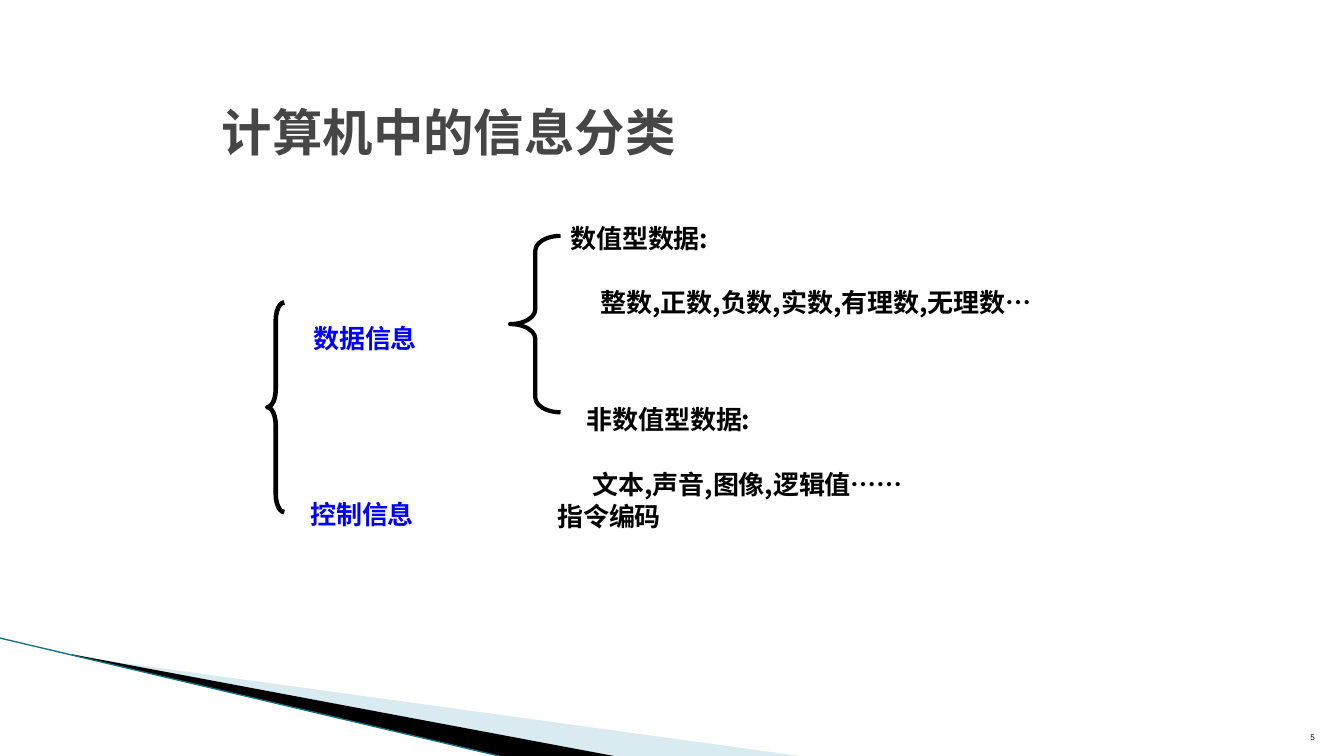
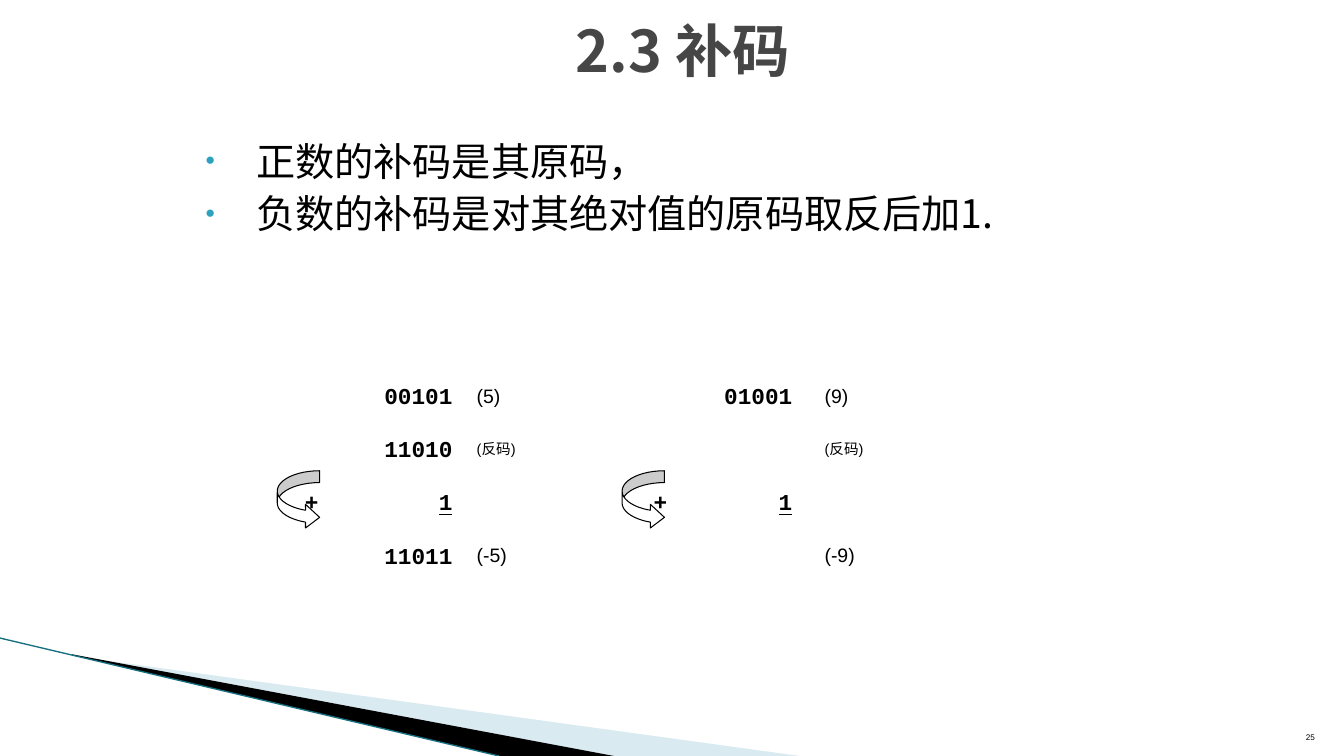
from dataclasses import dataclass
from typing import Optional

from lxml.etree import SubElement
from pptx import Presentation
from pptx.dml.color import RGBColor
from pptx.enum.shapes import MSO_CONNECTOR, MSO_SHAPE
from pptx.enum.text import MSO_ANCHOR, PP_ALIGN
from pptx.oxml.ns import qn
from pptx.util import Inches, Pt

BLACK, WHITE, BLUE = "000000", "FFFFFF", "0000FF"
TITLE_GRAY, BULLET_TEAL = "464646", "2DA2BF"
BAND_BLUE, EDGE_TEAL = "A0CBDC", "17707F"
CJK, CJK_TITLE = "Noto Sans CJK SC", "Noto Sans CJK JP"
MONO, SANS = "Courier New", "Arial"
LOWERED = -25  # percent of the text size


@dataclass(frozen=True)
class Style:
    size: float
    font: str
    color: str = BLACK
    bold: bool = False
    underline: bool = False
    baseline: int = 0
    east_asian: str = CJK


@dataclass(frozen=True)
class Label:
    left: float
    top: float
    width: float
    lines: tuple[str, ...]
    color: str = BLACK
    second_indent: float = 0


@dataclass(frozen=True)
class Preset:
    kind: MSO_SHAPE
    box: tuple[float, float, float, float]
    adjustments: tuple[float, ...]
    line_width: float
    fill: Optional[str] = None


@dataclass(frozen=True)
class Band:
    points: tuple[tuple[float, float], ...]
    color: str
    opacity: Optional[int] = None


@dataclass(frozen=True)
class Column:
    position: float
    align: str


BANDS = (
    Band(((0.73, 6.51), (7.93, 7.5), (6.08, 7.5), (0.73, 6.5)), BAND_BLUE, 40),
    Band(((0.71, 6.49), (6.09, 7.5), (4.96, 7.5), (0.72, 6.5)), BLACK),
)

TERM_LINE, TERM_GAP = 30, 16
CATEGORIES = (
    Label(5.56, 2.05, 5.75, ("数值型数据:", "整数,正数,负数,实数,有理数,无理数…"), second_indent=0.3),
    Label(3.01, 3.04, 2, ("数据信息",), BLUE),
    Label(2.98, 4.79, 2.67, ("控制信息",), BLUE),
    Label(5.72, 3.85, 5.51, ("非数值型数据:", "文本,声音,图像,逻辑值……"), second_indent=0.06),
    Label(5.43, 4.81, 3.75, ("指令编码",)),
)
BRACES = (
    Preset(MSO_SHAPE.LEFT_BRACE, (5.06, 2.34, 0.5, 1.75), (0.292, 0.5), 3),
    Preset(MSO_SHAPE.LEFT_BRACE, (2.65, 3, 0.17, 2.08), (1.042, 0.5), 3.25),
)

RULES = ("正数的补码是其原码，", "负数的补码是对其绝对值的原码取反后加1.")
DIGITS = Style(28, MONO, bold=True, baseline=LOWERED)
SUM_DIGIT = Style(28, MONO, bold=True, underline=True, baseline=LOWERED)
VALUE = Style(24, SANS, baseline=LOWERED)
REMARK = Style(18, SANS, baseline=LOWERED)
COLUMNS = (
    Column(0.6, "r"), Column(1.93, "r"), Column(2.17, "l"),
    Column(4.06, "r"), Column(5.3, "r"), Column(5.62, "l"),
)
CALCULATION = (
    (("", DIGITS), ("00101", DIGITS), ("(5)", VALUE),
     ("", DIGITS), ("01001", DIGITS), ("(9)", VALUE)),
    (("", DIGITS), ("11010", DIGITS), ("(反码)", REMARK),
     ("", DIGITS), ("", DIGITS), ("(反码)", REMARK)),
    (("+", DIGITS), ("1", SUM_DIGIT), ("", VALUE), ("+", DIGITS), ("1", SUM_DIGIT)),
    (("", DIGITS), ("11011", DIGITS), ("(-5)", VALUE),
     ("", DIGITS), ("", DIGITS), ("(-9)", VALUE)),
)
CARRY_ARROWS = tuple(
    Preset(MSO_SHAPE.CURVED_RIGHT_ARROW, (left, 4.67, 0.42, 0.58), (0.28, 0.56, 0.333), 0.75, WHITE)
    for left in (2.75, 6.17)
)


def rgb(value: str) -> RGBColor:
    return RGBColor.from_string(value)


def place(shape, left: float, top: float, width: float, height: float) -> None:
    shape.left, shape.top = Inches(left), Inches(top)
    shape.width, shape.height = Inches(width), Inches(height)


def add_run(paragraph, text: str, style: Style) -> None:
    run = paragraph.add_run()
    run.text = text
    run.font.size = Pt(style.size)
    run.font.bold = style.bold
    run.font.underline = style.underline
    run.font.color.rgb = rgb(style.color)
    run.font.name = style.font
    properties = run._r.get_or_add_rPr()
    if style.baseline:
        properties.set("baseline", str(style.baseline * 1000))
    SubElement(properties, qn("a:ea")).set("typeface", style.east_asian)


def add_paragraph(frame, index: int, line_spacing: Optional[float] = None, gap: float = 0):
    paragraph = frame.add_paragraph() if index else frame.paragraphs[0]
    if line_spacing:
        paragraph.line_spacing = Pt(line_spacing)
    paragraph.space_before = Pt(gap if index else 0)
    return paragraph


def add_text_frame(slide, left: float, top: float, width: float, height: float):
    frame = slide.shapes.add_textbox(
        Inches(left), Inches(top), Inches(width), Inches(height)).text_frame
    frame.word_wrap = True
    return frame


def add_backdrop(slide) -> None:
    for band in BANDS:
        start, *rest = [(Inches(x), Inches(y)) for x, y in band.points]
        builder = slide.shapes.build_freeform(*start)
        builder.add_line_segments(rest, close=True)
        wedge = builder.convert_to_shape()
        wedge.shadow.inherit = False
        wedge.fill.solid()
        wedge.fill.fore_color.rgb = rgb(band.color)
        wedge.line.fill.background()
        if band.opacity:
            color = wedge._element.spPr.find(qn("a:solidFill")).find(qn("a:srgbClr"))
            SubElement(color, qn("a:alpha")).set("val", str(band.opacity * 1000))
    edge = slide.shapes.add_connector(
        MSO_CONNECTOR.STRAIGHT, Inches(0), Inches(6.33), Inches(4.95), Inches(7.5))
    edge.line.color.rgb = rgb(EDGE_TEAL)
    edge.line.width = Pt(0.95)
    SubElement(edge._element.spPr, qn("a:effectLst"))


def add_page_number(slide, number: str) -> None:
    frame = add_text_frame(slide, 12.61, 7.01, 0.53, 0.4)
    frame.vertical_anchor = MSO_ANCHOR.BOTTOM
    paragraph = frame.paragraphs[0]
    paragraph.alignment = PP_ALIGN.RIGHT
    add_run(paragraph, number, Style(10, SANS, baseline=LOWERED))


def set_title(slide, text: str, box: tuple[float, float, float, float],
              style: Style, align: PP_ALIGN) -> None:
    title = slide.shapes.title
    place(title, *box)
    title.text_frame.vertical_anchor = MSO_ANCHOR.MIDDLE
    paragraph = title.text_frame.paragraphs[0]
    paragraph.alignment = align
    add_run(paragraph, text, style)


def add_preset(slide, preset: Preset) -> None:
    shape = slide.shapes.add_shape(preset.kind, *map(Inches, preset.box))
    shape.shadow.inherit = False
    for index, value in enumerate(preset.adjustments):
        shape.adjustments[index] = value
    if preset.fill:
        shape.fill.solid()
        shape.fill.fore_color.rgb = rgb(preset.fill)
    else:
        shape.fill.background()
    shape.line.color.rgb = rgb(BLACK)
    shape.line.width = Pt(preset.line_width)


def add_label(slide, label: Label) -> None:
    height = 0.1 + (len(label.lines) * (TERM_LINE + TERM_GAP) - TERM_GAP) / 72
    frame = add_text_frame(slide, label.left, label.top, label.width, height)
    style = Style(32, CJK, label.color, bold=True, baseline=LOWERED)
    for index, line in enumerate(label.lines):
        paragraph = add_paragraph(frame, index, TERM_LINE, TERM_GAP)
        if index:
            paragraph._p.get_or_add_pPr().set("indent", str(Inches(label.second_indent)))
        add_run(paragraph, line, style)


def set_bullet(paragraph) -> None:
    properties = paragraph._p.get_or_add_pPr()
    properties.set("marL", str(Inches(0.5)))
    properties.set("indent", str(Inches(-0.5)))
    color = SubElement(properties, qn("a:buClr"))
    SubElement(color, qn("a:srgbClr")).set("val", BULLET_TEAL)
    SubElement(properties, qn("a:buSzPct")).set("val", "68000")
    SubElement(properties, qn("a:buFont")).set("typeface", SANS)
    SubElement(properties, qn("a:buChar")).set("char", "•")


def set_tab_stops(paragraph) -> None:
    stops = SubElement(paragraph._p.get_or_add_pPr(), qn("a:tabLst"))
    for column in COLUMNS:
        stop = SubElement(stops, qn("a:tab"))
        stop.set("pos", str(Inches(column.position)))
        stop.set("algn", column.align)


def add_calculation(slide) -> None:
    frame = add_text_frame(slide, 2.46, 3.48, 7.83, 2.21)
    for index, row in enumerate(CALCULATION):
        paragraph = add_paragraph(frame, index, line_spacing=38)
        set_tab_stops(paragraph)
        for text, style in row:
            add_run(paragraph, "\t", DIGITS)
            if text:
                add_run(paragraph, text, style)


def build_classification(deck) -> None:
    slide = deck.slides.add_slide(deck.slide_layouts[5])
    add_backdrop(slide)
    set_title(slide, "计算机中的信息分类", (2.1, 0.68, 8.35, 1.25),
              Style(36, MONO, TITLE_GRAY, bold=True), PP_ALIGN.LEFT)
    for label in CATEGORIES:
        add_label(slide, label)
    for brace in BRACES:
        add_preset(slide, brace)
    add_page_number(slide, "5")


def build_complement(deck) -> None:
    slide = deck.slides.add_slide(deck.slide_layouts[1])
    add_backdrop(slide)
    set_title(slide, "2.3 补码", (3.2, 0.08, 7.15, 0.83),
              Style(41, CJK_TITLE, TITLE_GRAY, bold=True, east_asian=CJK_TITLE), PP_ALIGN.CENTER)
    body = slide.placeholders[1]
    place(body, 1.94, 1.31, 9.77, 5.39)
    for index, rule in enumerate(RULES):
        paragraph = add_paragraph(body.text_frame, index, line_spacing=33.5, gap=4)
        set_bullet(paragraph)
        add_run(paragraph, rule, Style(28, CJK))
    add_calculation(slide)
    for arrow in CARRY_ARROWS:
        add_preset(slide, arrow)
    add_page_number(slide, "25")


def main() -> None:
    deck = Presentation()
    deck.slide_width, deck.slide_height = Inches(13.33), Inches(7.5)
    build_classification(deck)
    build_complement(deck)
    deck.save("out.pptx")


if __name__ == "__main__":
    main()
